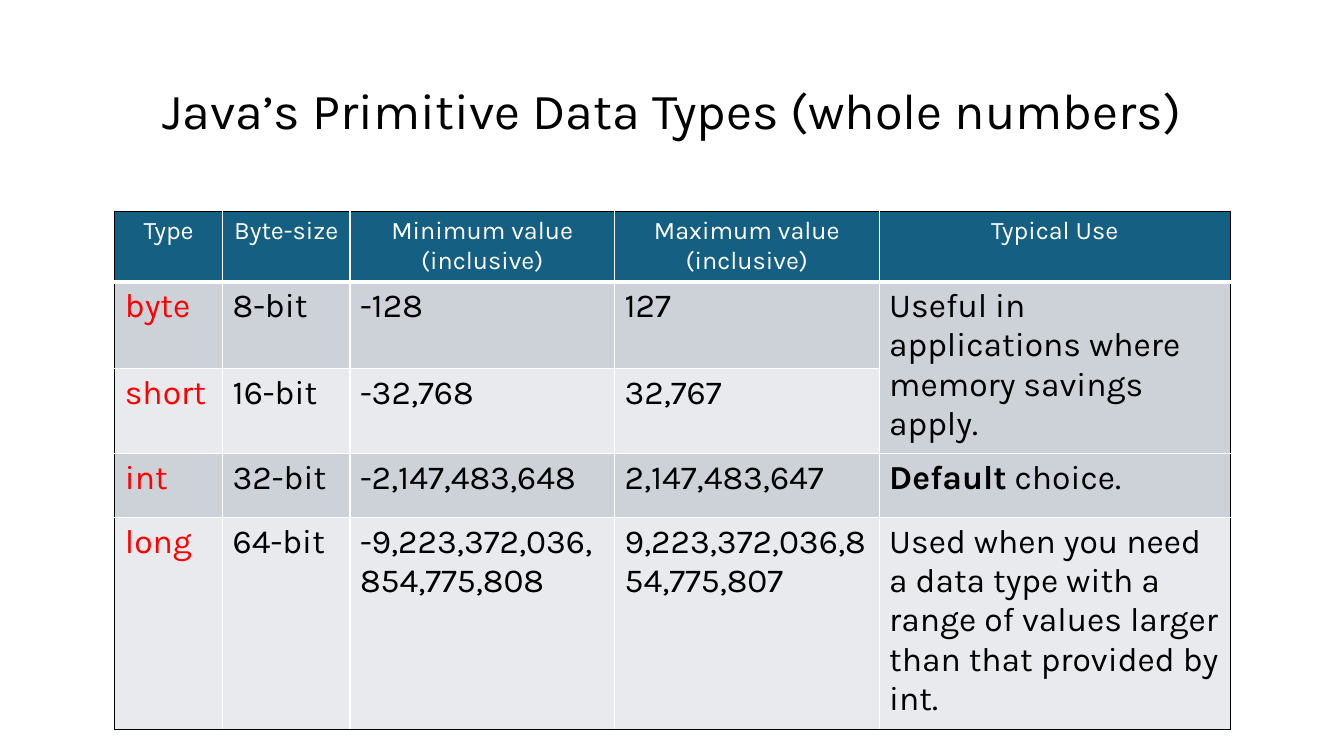
"""Build a slide with a table of Java's whole-number types."""
from lxml.etree import SubElement
from pptx import Presentation
from pptx.dml.color import RGBColor as Rgb
from pptx.enum.text import MSO_ANCHOR as Anchor, PP_ALIGN as Align
from pptx.oxml.ns import qn
from pptx.util import Pt

TITLE = "Java’s Primitive Data Types (whole numbers)"
HEAD = ["Type", "Byte-size", "Minimum value (inclusive)",
        "Maximum value (inclusive)", "Typical Use"]
TYPES = [
    ["byte", "8-bit", "-128", "127",
     "Useful in applications where memory savings apply."],
    ["short", "16-bit", "-32,768", "32,767", ""],
    ["int", "32-bit", "-2,147,483,648", "2,147,483,647",
     [("Default", True), (" choice.", False)]],
    ["long", "64-bit", "-9,223,372,036,854,775,808",
     "9,223,372,036,854,775,807",
     "Used when you need a data type with a range of values larger "
     "than that provided by int."],
]
ROWS = [HEAD] + TYPES
WIDTHS = [77, 91, 189, 189, 251]
HEIGHTS = [41, 62, 46, 46, 46]
LEFT, TOP, TALL = 82, 151, 327
THEME = {
    "font": "Karla", "title": 36, "head": 18, "body": 24,
    "ink": "000000", "paper": "FFFFFF", "key": "FF0000",
    "bar": "156082", "bands": ["CCD2D8", "E8EAED"],
}


def write(frame, text, size, color, align):
    para = frame.paragraphs[0]
    para.alignment = align
    parts = [(text, False)] if isinstance(text, str) else text
    for words, bold in parts:
        run = para.add_run()
        run.text = words
        look = {"name": THEME["font"], "size": Pt(size), "bold": bold}
        for name, value in look.items():
            setattr(run.font, name, value)
        run.font.color.rgb = Rgb.from_string(color)
    return para


def edge(cell, row, col):
    last, end = len(ROWS) - 1, len(WIDTHS) - 1
    sides = {"L": col == 0, "R": col == end, "T": row == 0, "B": row == last}
    props = cell._tc.get_or_add_tcPr()
    for spot, (side, outer) in enumerate(sides.items()):
        wide = 3 if row == 0 and side == "B" else 1
        line = SubElement(props, qn("a:ln" + side), w=str(Pt(wide)))
        fill = SubElement(line, qn("a:solidFill"))
        tone = THEME["ink" if outer else "paper"]
        SubElement(fill, qn("a:srgbClr"), val=tone)
        props.insert(spot, line)


def add_title(slide):
    box = slide.shapes.add_textbox(Pt(66), Pt(29), Pt(828), Pt(104))
    frame = box.text_frame
    frame.word_wrap = True
    frame.vertical_anchor = Anchor.MIDDLE
    para = write(frame, TITLE, THEME["title"], THEME["ink"], Align.CENTER)
    para.line_spacing = 0.9


def add_grid(slide):
    shape = slide.shapes.add_table(len(ROWS), len(WIDTHS), Pt(LEFT), Pt(TOP),
                                   Pt(sum(WIDTHS)), Pt(TALL))
    grid = shape.table
    for col, width in zip(grid.columns, WIDTHS):
        col.width = Pt(width)
    for row, height in zip(grid.rows, HEIGHTS):
        row.height = Pt(height)
    shape.height = Pt(TALL)
    grid.cell(1, 4).merge(grid.cell(2, 4))
    for row, texts in enumerate(ROWS):
        for col, text in enumerate(texts):
            cell = grid.cell(row, col)
            if row == 0:
                back, size, color, align = (THEME["bar"], THEME["head"],
                                            THEME["paper"], Align.CENTER)
            else:
                back, size, align = (THEME["bands"][(row - 1) % 2],
                                     THEME["body"], Align.LEFT)
                color = THEME["key" if col == 0 else "ink"]
            cell.fill.solid()
            cell.fill.fore_color.rgb = Rgb.from_string(back)
            edge(cell, row, col)
            if text:
                write(cell.text_frame, text, size, color, align)


def main():
    deck = Presentation()
    deck.slide_width, deck.slide_height = Pt(960), Pt(540)
    slide = deck.slides.add_slide(deck.slide_layouts[6])
    add_title(slide)
    add_grid(slide)
    deck.save("out.pptx")


if __name__ == "__main__":
    main()
